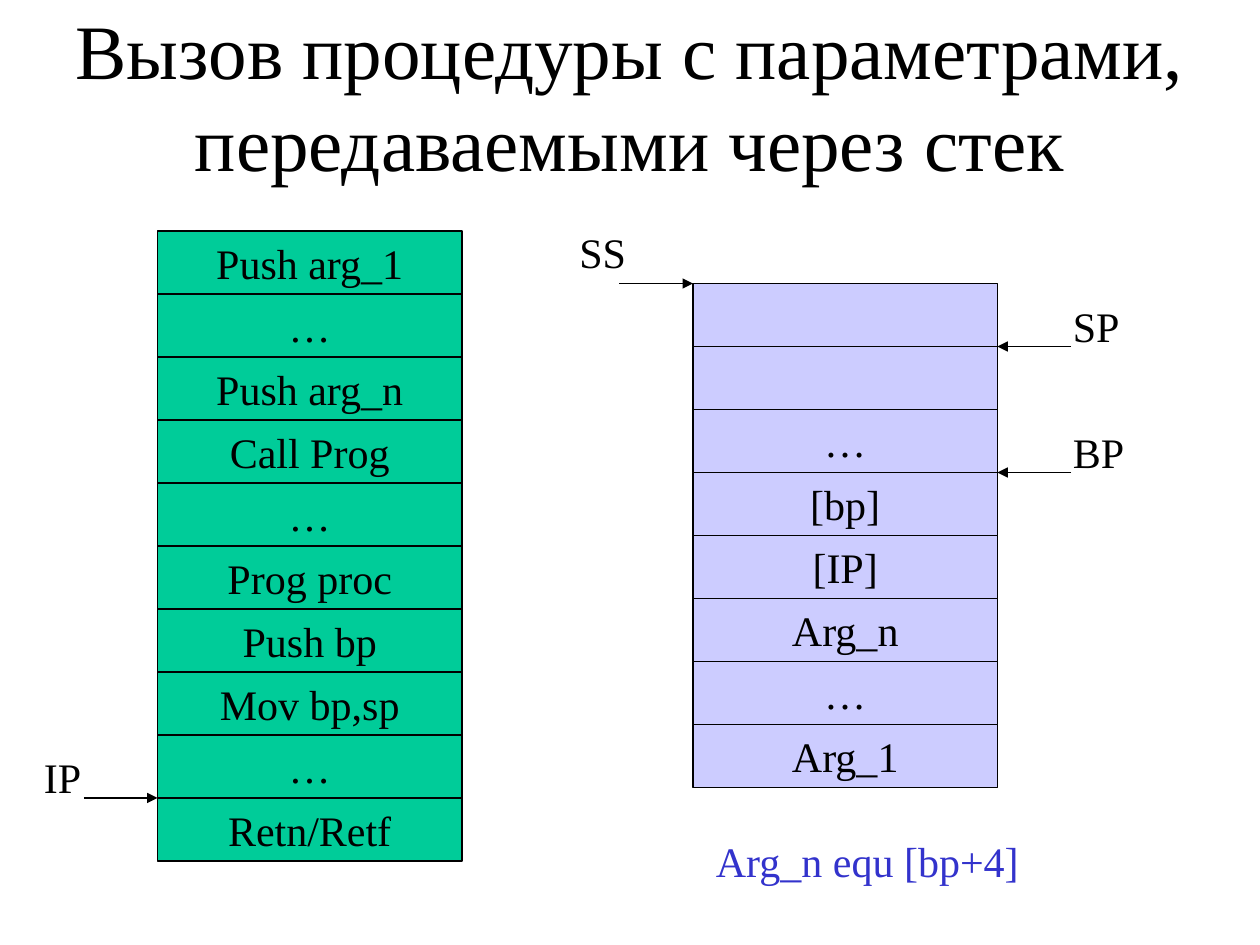
import pptx
import pptx.util
import pptx.dml.color
import pptx.enum.shapes
import pptx.enum.text
import pptx.oxml.ns
from lxml import etree

THEME = {
    "font": "Times New Roman", "title_size": 44, "body_size": 24, "line_width": 0.75,
    "ink": "000000", "code": "00CC99", "stack": "CCCCFF", "formula": "3333CC",
}
Anchor = pptx.enum.text.MSO_ANCHOR
Align = pptx.enum.text.PP_ALIGN
AutoSize = pptx.enum.text.MSO_AUTO_SIZE

# Grid: 120 columns by 90 rows; a memory cell is 29 columns by 6 rows
COLUMNS, ROWS = 120, 90
CELL_COLUMNS, CELL_ROWS, ARROW_COLUMNS = 29, 6, 7

deck = pptx.Presentation()
deck.slide_width, deck.slide_height = pptx.util.Inches(10), pptx.util.Inches(7.5)
slide = deck.slides.add_slide(deck.slide_layouts[5])


def place(column, row, *extent):
    """Turn grid columns and rows into slide lengths."""
    units = (deck.slide_width / COLUMNS, deck.slide_height / ROWS) * 2
    return [round(n * unit) for n, unit in zip((column, row, *extent), units)]


def write(shape, text, size="body_size", color="ink", align=Align.CENTER, space=0, **frame_format):
    frame = shape.text_frame
    frame.text = text
    for name, value in frame_format.items():
        setattr(frame, name, value)
    paragraph = frame.paragraphs[0]
    paragraph.alignment = align
    paragraph.space_before = pptx.util.Pt(space)
    font_format = {"name": THEME["font"], "size": pptx.util.Pt(THEME[size])}
    for name, value in font_format.items():
        setattr(paragraph.runs[0].font, name, value)
    paragraph.runs[0].font.color.rgb = pptx.dml.color.RGBColor.from_string(THEME[color])


# Title
heading = slide.shapes.title
heading.left, heading.top, heading.width, heading.height = place(6, 4, 108, 10)
write(heading, "Вызов процедуры с параметрами, передаваемыми через стек", size="title_size",
      auto_size=AutoSize.NONE, vertical_anchor=Anchor.MIDDLE, word_wrap=True)

# Program code on the left, stack on the right
memory = [
    ("code", 15, 22, ["Push arg_1", "…", "Push arg_n", "Call Prog", "…",
                      "Prog proc", "Push bp", "Mov bp,sp", "…", "Retn/Retf"]),
    ("stack", 66, 27, ["", "", "…", "[bp]", "[IP]", "Arg_n", "…", "Arg_1"]),
]
for fill, column, top, contents in memory:
    for index, content in enumerate(contents):
        cell = slide.shapes.add_shape(
            pptx.enum.shapes.MSO_SHAPE.RECTANGLE,
            *place(column, top + index * CELL_ROWS, CELL_COLUMNS, CELL_ROWS))
        cell.shadow.inherit = False
        cell.fill.solid()
        cell.fill.fore_color.rgb = pptx.dml.color.RGBColor.from_string(THEME[fill])
        cell.line.color.rgb = pptx.dml.color.RGBColor.from_string(THEME["ink"])
        cell.line.width = pptx.util.Pt(THEME["line_width"])
        if content:
            write(cell, content, vertical_anchor=Anchor.MIDDLE, word_wrap=False)

# Register pointers: arrow tip column, row and direction
for tip, row, direction in [(15, 76, 1), (66, 27, 1), (95, 33, -1), (95, 45, -1)]:
    pointer = slide.shapes.add_connector(
        pptx.enum.shapes.MSO_CONNECTOR.STRAIGHT,
        *place(tip - direction * ARROW_COLUMNS, row, tip, row))
    pointer.line.color.rgb = pptx.dml.color.RGBColor.from_string(THEME["ink"])
    pointer.line.width = pptx.util.Pt(THEME["line_width"])
    etree.SubElement(pointer.line._get_or_add_ln(), pptx.oxml.ns.qn("a:tailEnd"), type="triangle")
    etree.SubElement(pointer._element.spPr, pptx.oxml.ns.qn("a:effectLst"))

# Register names and the argument address
captions = [
    ("IP", 3, 71, 7, "ink"),
    ("SS", 54, 21, 7, "ink"),
    ("SP", 101, 28, 8, "ink"),
    ("BP", 101, 40, 13, "ink"),
    ("Arg_n equ [bp+4]", 67, 79, 35, "formula"),
]
for text, column, row, width, color in captions:
    caption = slide.shapes.add_textbox(*place(column, row, width, CELL_ROWS))
    write(caption, text, color=color, align=Align.LEFT, space=15,
          word_wrap=True, auto_size=AutoSize.SHAPE_TO_FIT_TEXT)

deck.save("out.pptx")
